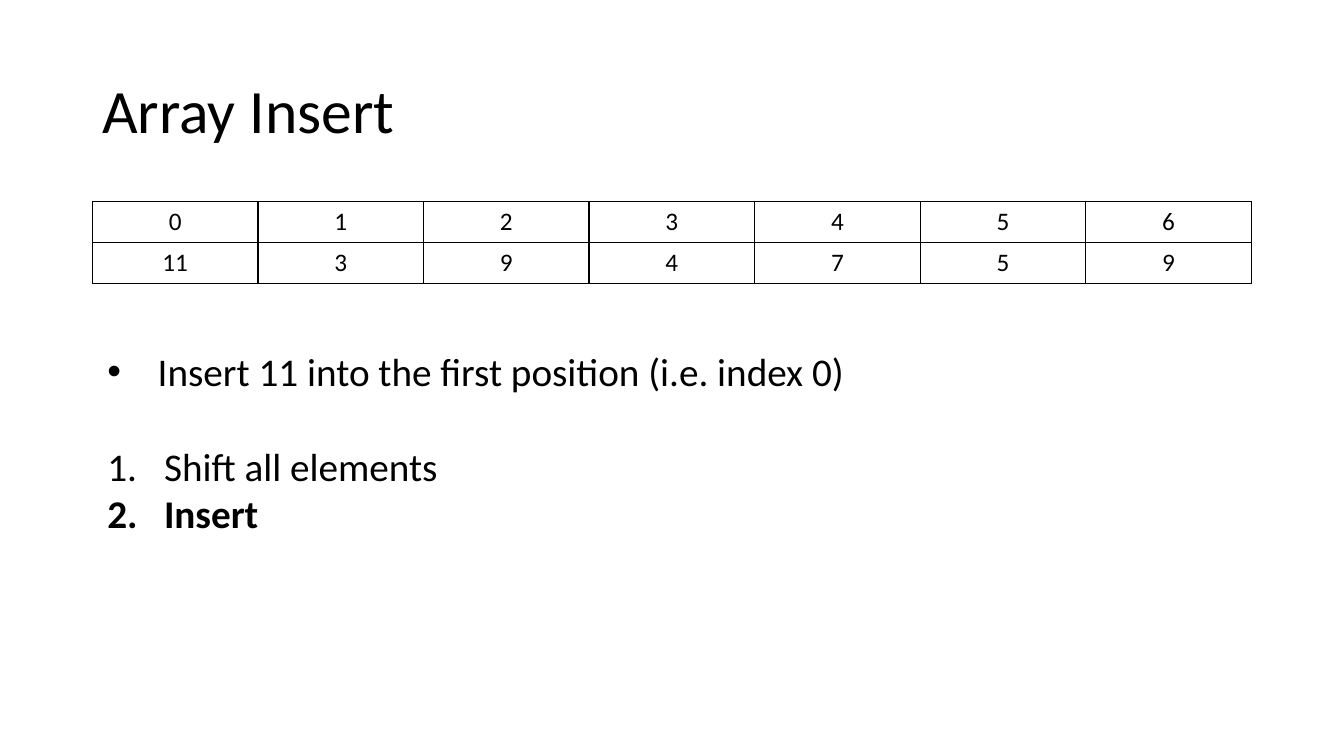
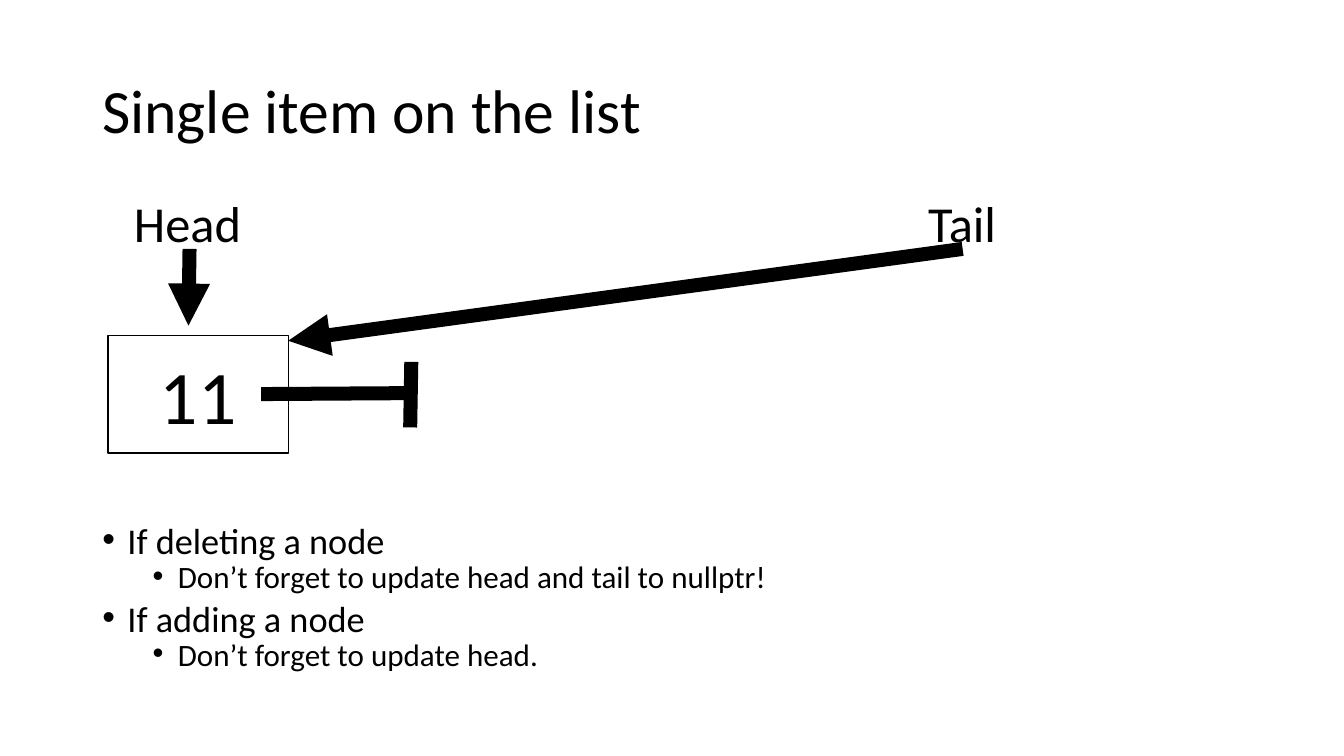
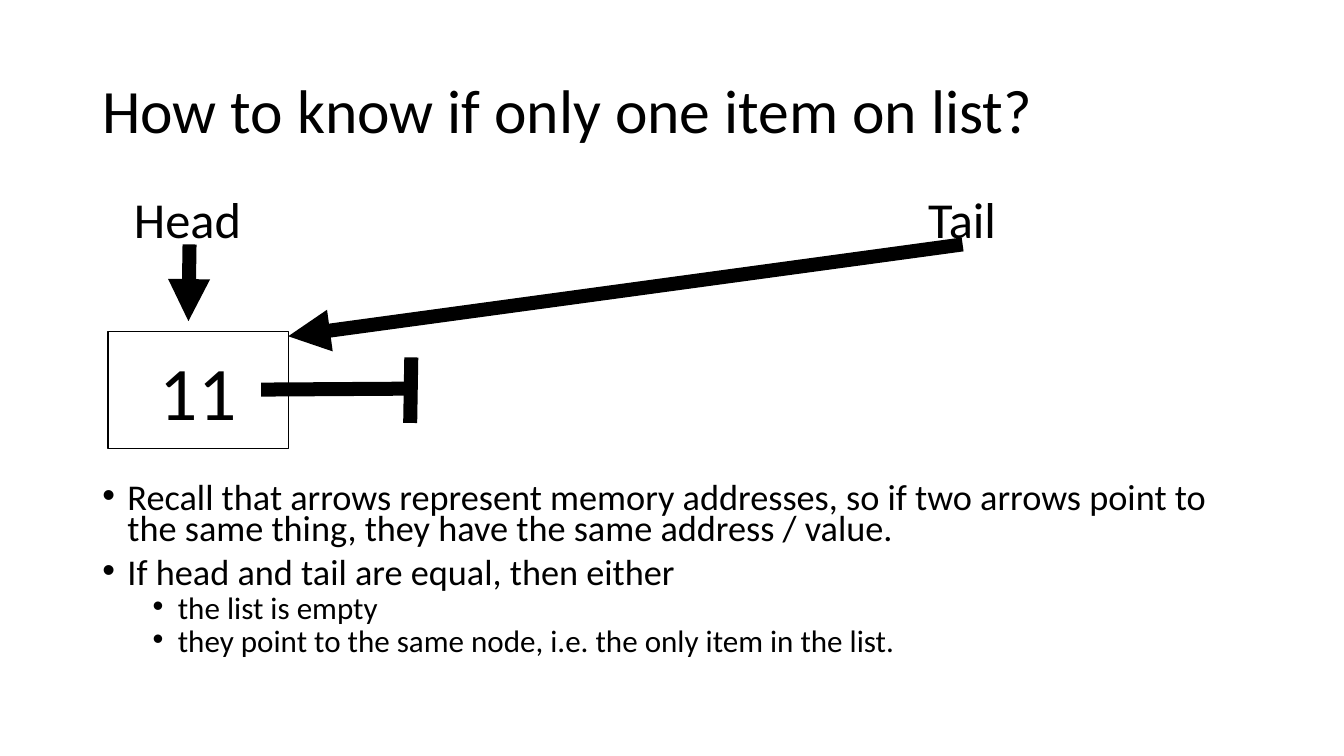
from dataclasses import dataclass
from typing import Any

from lxml import etree
from pptx import Presentation
from pptx import util as u
from pptx.dml.color import RGBColor
from pptx.enum import shapes, text
from pptx.oxml import ns

BLACK = RGBColor(0x00, 0x00, 0x00)
WHITE = RGBColor(0xFF, 0xFF, 0xFF)
FONT = "Calibri"
MARGIN = 66
CONTENT_WIDTH = 828
CONTENT_TOP = 144
CONTENT_BOTTOM = 486.6
CELL_EDGES = ("a:lnL", "a:lnR", "a:lnT", "a:lnB")


@dataclass(frozen=True)
class Frame:
    left: float
    top: float
    width: float
    height: float

    def lengths(self) -> list[u.Length]:
        return [u.Pt(n) for n in (self.left, self.top, self.width, self.height)]


@dataclass(frozen=True)
class Item:
    words: str
    size: float
    indent: float = 0
    hang: float = 0
    marker: str = ""
    before: float = 0
    spacing: float = 1
    bold: bool = False
    level: int = 0


@dataclass(frozen=True)
class Stroke:
    x1: float
    y1: float
    x2: float
    y2: float
    arrow: bool = False


@dataclass(frozen=True)
class Label:
    words: str
    frame: Frame


TITLE_FRAME = Frame(MARGIN, 28.75, CONTENT_WIDTH, 104.4)
NODE_FRAME = Frame(77.1, 239.8, 129, 83.8)
NULL_LINK = (Stroke(186.5, 281.5, 293, 280.8), Stroke(293, 305.3, 293.8, 258.5))
POINTERS = (
    Stroke(135.4, 177.8, 134.6, 232.6, arrow=True),
    Stroke(687.6, 177.8, 205.9, 243.4, arrow=True),
)
POINTER_LABELS = (
    Label("Head", Frame(88.6, 133.9, 91.4, 51.1)),
    Label("Tail", Frame(655.9, 133.9, 63.4, 51.1)),
)


def style_font(font: Any, size: float, bold: bool = False) -> None:
    font.name = FONT
    font.size = u.Pt(size)
    font.bold = bold
    font.color.rgb = BLACK


def add_marker(para: Any, item: Item) -> None:
    properties = para._p.get_or_add_pPr()
    properties.set("marL", str(u.Pt(item.indent)))
    properties.set("indent", str(u.Pt(-item.hang)))
    if item.marker == "1.":
        etree.SubElement(properties, ns.qn("a:buAutoNum"), type="arabicPeriod")
    else:
        etree.SubElement(properties, ns.qn("a:buFont"), typeface="Arial")
        etree.SubElement(properties, ns.qn("a:buChar"), char=item.marker)


def add_text(page: Any, frame: Frame, items: list[Item], wrap: bool = True) -> Any:
    box = page.shapes.add_textbox(*frame.lengths())
    body = box.text_frame
    body.word_wrap = wrap
    for number, item in enumerate(items):
        para = body.paragraphs[0] if number == 0 else body.add_paragraph()
        para.text = item.words
        para.level = item.level
        para.line_spacing = item.spacing
        para.space_before = u.Pt(item.before)
        style_font(para.font, item.size, item.bold)
        if item.marker:
            add_marker(para, item)
    return box


def add_page(deck: Any, title: str) -> Any:
    page = deck.slides.add_slide(deck.slide_layouts[6])
    box = add_text(page, TITLE_FRAME, [Item(title, 44, spacing=0.9)])
    box.text_frame.vertical_anchor = text.MSO_ANCHOR.MIDDLE
    return page


def add_body(page: Any, top: float, items: list[Item]) -> None:
    add_text(page, Frame(MARGIN, top, CONTENT_WIDTH, CONTENT_BOTTOM - top), items)


def add_stroke(holder: Any, stroke: Stroke, shift: float) -> None:
    line = holder.add_connector(
        shapes.MSO_CONNECTOR.STRAIGHT,
        u.Pt(stroke.x1), u.Pt(stroke.y1 + shift),
        u.Pt(stroke.x2), u.Pt(stroke.y2 + shift),
    )
    line.line.color.rgb = BLACK
    line.line.width = u.Pt(10)
    if stroke.arrow:
        etree.SubElement(line.line._get_or_add_ln(), ns.qn("a:tailEnd"), type="triangle")
    etree.SubElement(line._element.spPr, ns.qn("a:effectLst"))


def shifted(frame: Frame, shift: float) -> Frame:
    return Frame(frame.left, frame.top + shift, frame.width, frame.height)


def add_single_node(page: Any, shift: float = 0) -> None:
    node = page.shapes.add_shape(
        shapes.MSO_SHAPE.RECTANGLE, *shifted(NODE_FRAME, shift).lengths()
    )
    node.shadow.inherit = False
    node.fill.solid()
    node.fill.fore_color.rgb = WHITE
    node.line.color.rgb = BLACK
    node.line.width = u.Pt(1)
    node.text_frame.vertical_anchor = text.MSO_ANCHOR.MIDDLE
    para = node.text_frame.paragraphs[0]
    para.text = "11"
    para.alignment = text.PP_ALIGN.CENTER
    style_font(para.font, 54)

    null_link = page.shapes.add_group_shape()
    for stroke in NULL_LINK:
        add_stroke(null_link.shapes, stroke, shift)
    for pointer, label in zip(POINTERS, POINTER_LABELS):
        add_stroke(page.shapes, pointer, shift)
        add_text(page, shifted(label.frame, shift), [Item(label.words, 36)], wrap=False)


def add_array(page: Any, rows: list[list[int]]) -> None:
    frame = Frame(MARGIN, CONTENT_TOP, CONTENT_WIDTH, 29.2 * len(rows))
    table = page.shapes.add_table(len(rows), len(rows[0]), *frame.lengths()).table
    table.first_row = False
    table.horz_banding = False
    for row, values in enumerate(rows):
        for column, value in enumerate(values):
            cell = table.cell(row, column)
            para = cell.text_frame.paragraphs[0]
            para.text = str(value)
            para.alignment = text.PP_ALIGN.CENTER
            style_font(para.font, 18)
            properties = cell._tc.get_or_add_tcPr()
            for edge in CELL_EDGES:
                line = etree.SubElement(properties, ns.qn(edge), w=str(u.Pt(1)))
                fill = etree.SubElement(line, ns.qn("a:solidFill"))
                etree.SubElement(fill, ns.qn("a:srgbClr"), val=str(BLACK))
            cell.fill.background()


def point(words: str) -> Item:
    return Item(words, 25.9, 18, 18, "•", 10, 0.7)


def subpoint(words: str) -> Item:
    return Item(words, 22.2, 54, 18, "•", 5, 0.7, level=1)


def build_array_insert(deck: Any) -> None:
    page = add_page(deck, "Array Insert")
    add_array(page, [[0, 1, 2, 3, 4, 5, 6], [11, 3, 9, 4, 7, 5, 9]])
    add_text(page, Frame(69.6, 244.5, 547, 143.3), [
        Item("Insert 11 into the first position (i.e. index 0)", 28, 36, 36, "•"),
        Item("Shift all elements", 28, 40.5, 40.5, "1.", before=34),
        Item("Insert", 28, 40.5, 40.5, "1.", bold=True),
    ], wrap=False)


def build_single_item(deck: Any) -> None:
    page = add_page(deck, "Single item on the list")
    add_body(page, 375.4, [
        point("If deleting a node"),
        subpoint("Don’t forget to update head and tail to nullptr!"),
        point("If adding a node"),
        subpoint("Don’t forget to update head."),
    ])
    add_single_node(page)


def build_how_to_know(deck: Any) -> None:
    page = add_page(deck, "How to know if only one item on list?")
    add_body(page, 343.8, [
        point("Recall that arrows represent memory addresses, so if two arrows point to "
              "the same thing, they have the same address / value."),
        point("If head and tail are equal, then either"),
        subpoint("the list is empty"),
        subpoint("they point to the same node, i.e. the only item in the list."),
    ])
    add_single_node(page, shift=-3.2)


def main() -> None:
    deck = Presentation()
    deck.slide_width = u.Pt(960)
    deck.slide_height = u.Pt(540)
    build_array_insert(deck)
    build_single_item(deck)
    build_how_to_know(deck)
    deck.save("out.pptx")


main()
